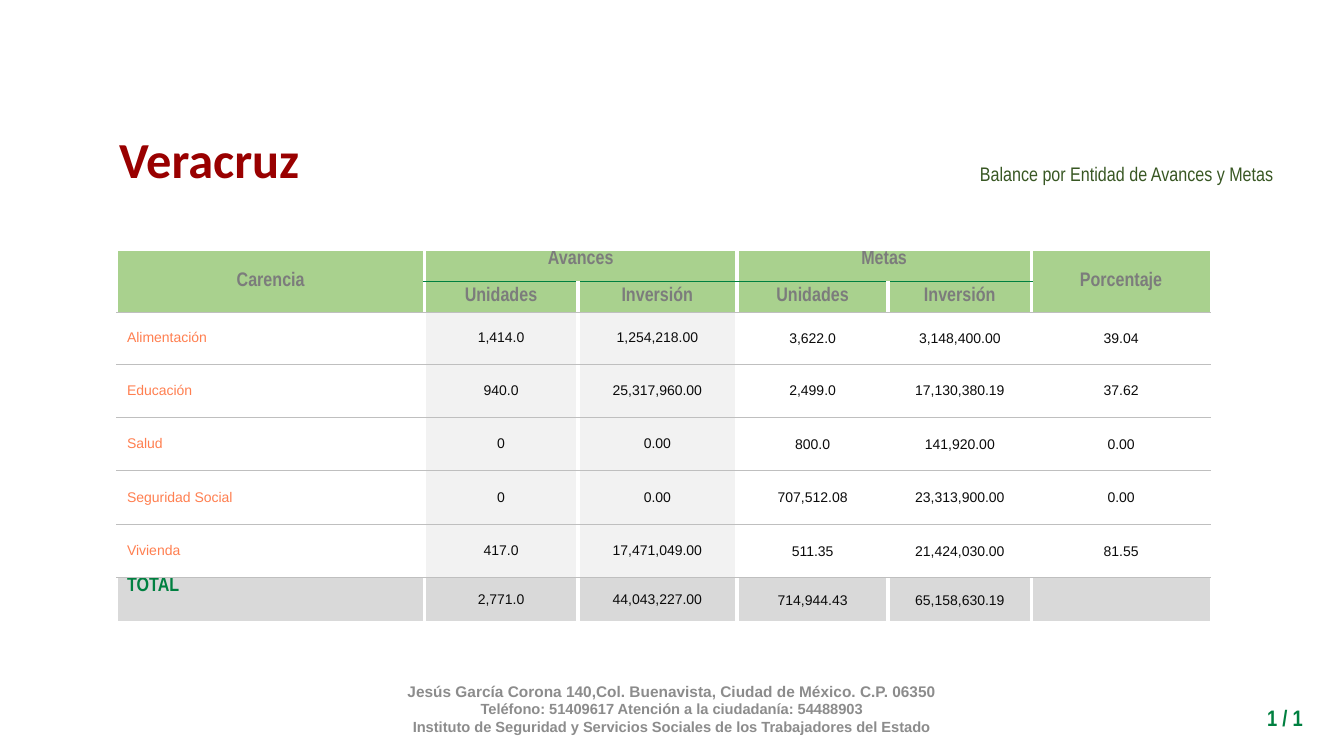
from dataclasses import dataclass

from lxml.etree import SubElement
from pptx import Presentation
from pptx.dml.color import RGBColor
from pptx.enum.text import MSO_ANCHOR as Anchor, PP_ALIGN as Align
from pptx.oxml.ns import qn
from pptx.util import Inches, Pt


@dataclass(frozen=True)
class Theme:
    # Colours
    title: str = "990000"
    subtitle: str = "385723"
    green: str = "008040"
    footer: str = "8C8C8C"
    heading: str = "7C7C7C"
    body: str = "0B0B0B"
    need: str = "FF7F50"
    header_fill: str = "A9D18E"
    progress_fill: str = "F2F2F2"
    total_fill: str = "D9D9D9"
    rule: str = "BFBFBF"
    gap: str = "FFFFFF"
    # Type sizes
    title_size: float = 36
    page_size: float = 16
    heading_size: float = 14
    footer_size: float = 11
    footer_small: float = 10.5
    body_size: float = 10
    # Fonts
    title_font: str = "Calibri"
    narrow: str = "Arial Narrow"
    sans: str = "Arial"


THEME = Theme()
HEADING = dict(size=THEME.heading_size, font=THEME.narrow, bold=True)

COLUMN_WIDTHS = [3.05, 1.52, 1.58, 1.5, 1.42, 1.78]
ROW_HEIGHTS = [0.31, 0.31, 0.51] + [0.53] * 4 + [0.45]
HEADER_ROWS = [
    ["Carencia", "Avances", "", "Metas", "", "Porcentaje"],
    ["", "Unidades", "Inversión", "Unidades", "Inversión", ""],
]
MERGES = [((0, 0), (1, 0)), ((0, 1), (0, 2)), ((0, 3), (0, 4)), ((0, 5), (1, 5))]
DATA_ROWS = [
    ["Alimentación", "1,414.0", "1,254,218.00", "3,622.0", "3,148,400.00", "39.04"],
    ["Educación", "940.0", "25,317,960.00", "2,499.0", "17,130,380.19", "37.62"],
    ["Salud", "0", "0.00", "800.0", "141,920.00", "0.00"],
    ["Seguridad Social", "0", "0.00", "707,512.08", "23,313,900.00", "0.00"],
    ["Vivienda", "417.0", "17,471,049.00", "511.35", "21,424,030.00", "81.55"],
    ["TOTAL", "2,771.0", "44,043,227.00", "714,944.43", "65,158,630.19", ""],
]
FOOTER = [
    ("Jesús García Corona 140,Col. Buenavista, Ciudad de México. C.P. 06350",
     THEME.footer_size),
    ("Teléfono: 51409617 Atención a la ciudadanía: 54488903", THEME.footer_small),
    ("Instituto de Seguridad y Servicios Sociales de los Trabajadores del Estado",
     THEME.footer_small),
]


def write(paragraph, text, *, size, font, color, bold=False, align=Align.CENTER,
          spacing=None):
    paragraph.alignment = align
    if spacing:
        paragraph.line_spacing = spacing
    run = paragraph.add_run()
    run.text = text
    run.font.size = Pt(size)
    run.font.name = font
    run.font.bold = bold
    run.font.color.rgb = RGBColor.from_string(color)


def add_text_frame(slide, left, top, width, height, anchor=Anchor.TOP, wrap=True):
    box = slide.shapes.add_textbox(
        Inches(left), Inches(top), Inches(width), Inches(height))
    frame = box.text_frame
    frame.word_wrap = wrap
    frame.vertical_anchor = anchor
    return frame


def set_border(cell, side, color, width):
    line = SubElement(cell._tc.get_or_add_tcPr(), qn(f"a:ln{side}"), w=str(Pt(width)))
    fill = SubElement(line, qn("a:solidFill"))
    SubElement(fill, qn("a:srgbClr"), val=color)


def draw_borders(cell, row, column):
    last_row, last_column = len(ROW_HEIGHTS) - 1, len(COLUMN_WIDTHS) - 1
    grouped = 0 < column < last_column
    rule = (THEME.rule, 0.5)
    group_rule = (THEME.green, 0.25)
    gap = (THEME.gap, 3)
    if column > 0:
        set_border(cell, "L", *gap)
    if column < last_column:
        set_border(cell, "R", *gap)
    if row > 0:
        set_border(cell, "T", *(group_rule if row == 1 and grouped else rule))
    if row == last_row:
        set_border(cell, "B", *gap)
    else:
        set_border(cell, "B", *(group_rule if row == 0 and grouped else rule))


def fill_cell(cell, row, column):
    if row < len(HEADER_ROWS):
        color = THEME.header_fill
    elif row == len(ROW_HEIGHTS) - 1:
        color = THEME.total_fill
    elif column in (1, 2):
        color = THEME.progress_fill
    else:
        cell.fill.background()
        return
    cell.fill.solid()
    cell.fill.fore_color.rgb = RGBColor.from_string(color)


def cell_format(row, column, text):
    if row < len(HEADER_ROWS):
        return dict(HEADING, color=THEME.heading)
    if text == "TOTAL":
        return dict(HEADING, color=THEME.green, align=Align.LEFT)
    plain = dict(size=THEME.body_size, font=THEME.sans)
    if column == 0:
        return dict(plain, color=THEME.need, align=Align.LEFT)
    return dict(plain, color=THEME.body)


def add_balance_table(slide):
    table = slide.shapes.add_table(
        len(ROW_HEIGHTS), len(COLUMN_WIDTHS), Inches(1.16), Inches(2.48),
        Inches(sum(COLUMN_WIDTHS)), Inches(sum(ROW_HEIGHTS))).table
    table.first_row = table.horz_banding = False
    for column, width in zip(table.columns, COLUMN_WIDTHS):
        column.width = Inches(width)
    for row, height in zip(table.rows, ROW_HEIGHTS):
        row.height = Inches(height)
    for start, end in MERGES:
        table.cell(*start).merge(table.cell(*end))

    for row, values in enumerate(HEADER_ROWS + DATA_ROWS):
        for column, text in enumerate(values):
            cell = table.cell(row, column)
            if cell.is_spanned:
                continue
            draw_borders(cell, row, column)
            fill_cell(cell, row, column)
            cell.margin_top = cell.margin_bottom = 0
            if row >= len(HEADER_ROWS) and column > 2:
                cell.margin_left = cell.margin_right = cell.margin_top = Inches(0.01)
            at_top = text in ("Avances", "Metas", "TOTAL")
            cell.vertical_anchor = Anchor.TOP if at_top else Anchor.MIDDLE
            if text:
                write(cell.text_frame.paragraphs[0], text,
                      **cell_format(row, column, text))


def add_footer(slide):
    frame = add_text_frame(slide, 2.88, 6.83, 7.57, 0.4, anchor=Anchor.MIDDLE)
    for index, (text, size) in enumerate(FOOTER):
        paragraph = frame.add_paragraph() if index else frame.paragraphs[0]
        write(paragraph, text, size=size, font=THEME.sans, color=THEME.footer, bold=True)


def main():
    presentation = Presentation()
    presentation.slide_width = Inches(13.33)
    presentation.slide_height = Inches(7.5)
    slide = presentation.slides.add_slide(presentation.slide_layouts[6])

    add_footer(slide)
    add_balance_table(slide)

    # Subtitle
    frame = add_text_frame(slide, 6.69, 1.23, 6.04, 0.95, anchor=Anchor.MIDDLE)
    write(frame.paragraphs[0], "Balance por Entidad de Avances y Metas",
          size=THEME.heading_size, font=THEME.narrow, color=THEME.subtitle,
          align=Align.RIGHT, spacing=1.15)

    # Page number
    frame = add_text_frame(slide, 11.76, 6.94, 1.26, 0.37)
    write(frame.paragraphs[0], "1 / 1", size=THEME.page_size, font=THEME.narrow,
          color=THEME.green, bold=True, align=Align.RIGHT)

    # State name
    frame = add_text_frame(slide, 1.07, 1.22, 2.01, 0.71, wrap=False)
    write(frame.paragraphs[0], "Veracruz", size=THEME.title_size,
          font=THEME.title_font, color=THEME.title, bold=True)

    presentation.save("out.pptx")


if __name__ == "__main__":
    main()
